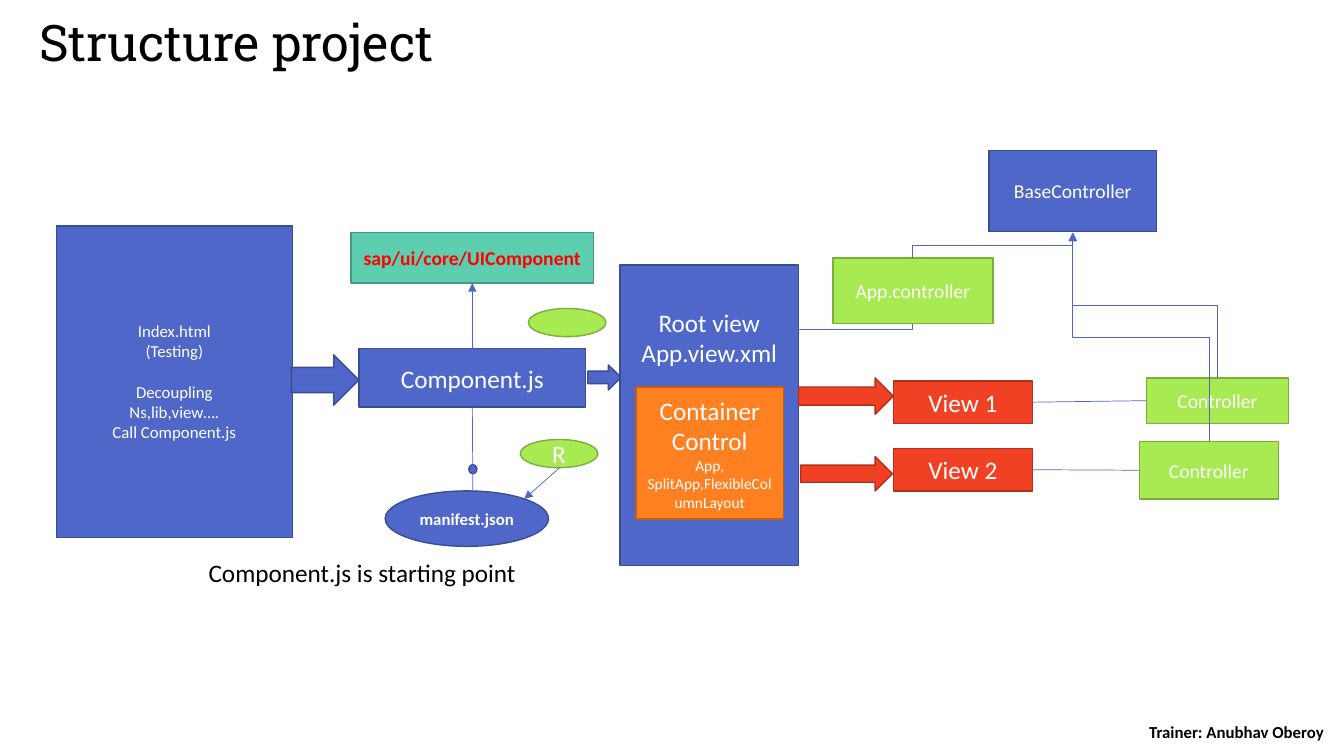
import dataclasses
import typing

import lxml.etree
import pptx
import pptx.dml.color
import pptx.enum.shapes
import pptx.enum.text
import pptx.oxml.ns
import pptx.shapes.autoshape
import pptx.shapes.connector
import pptx.slide
import pptx.text.text
import pptx.util

Inches = pptx.util.Inches
Pt = pptx.util.Pt
Preset = pptx.enum.shapes.MSO_SHAPE
Route = pptx.enum.shapes.MSO_CONNECTOR
Align = pptx.enum.text.PP_ALIGN
Anchor = pptx.enum.text.MSO_ANCHOR
qn = pptx.oxml.ns.qn


class Paint(typing.NamedTuple):
    fill: str
    edge: str


@dataclasses.dataclass(frozen=True)
class Theme:
    blue: Paint = Paint("4E67C8", "3A4C94")
    teal: Paint = Paint("5DCEAF", "459881")
    orange: Paint = Paint("FF8021", "BD5F18")
    red: Paint = Paint("F14124", "B2301B")
    green: Paint = Paint("A7EA52", "7CAD3D")
    white: str = "FFFFFF"
    black: str = "000000"
    alert: str = "FF0000"
    body_font: str = "Calibri"
    title_font: str = "Roboto Slab"
    title: float = 36
    large: float = 18
    medium: float = 14
    small: float = 12
    tiny: float = 11
    edge_width: float = 1
    link_width: float = 0.5


THEME = Theme()


class Box(typing.NamedTuple):
    left: float
    top: float
    width: float
    height: float


class Point(typing.NamedTuple):
    x: float
    y: float


@dataclasses.dataclass(frozen=True)
class Line:
    text: str
    size: float = THEME.large
    color: str = THEME.white
    bold: bool = False
    space_before: float = 0


@dataclasses.dataclass(frozen=True)
class Part:
    key: str
    box: Box
    paint: Paint = THEME.blue
    preset: Preset = Preset.RECTANGLE
    lines: tuple[Line, ...] = ()
    top_inset: float | None = None


@dataclasses.dataclass(frozen=True)
class Link:
    start: Point
    end: Point
    arrow: bool = False
    start_site: tuple[str, int] | None = None
    end_site: tuple[str, int] | None = None


@dataclasses.dataclass(frozen=True)
class Elbow:
    start: Point
    end: Point
    preset: str = "bentConnector3"
    arrow: bool = True


PARTS = (
    Part("index", Box(0.56, 2.24, 2.34, 3.09), lines=(
        Line("Index.html", THEME.small),
        Line("(Testing)", THEME.small),
        Line("Decoupling", THEME.small, space_before=14.6),
        Line("Ns,lib,view….", THEME.small),
        Line("Call Component.js", THEME.small))),
    Part("component", Box(3.56, 3.46, 2.25, 0.58), lines=(Line("Component.js"),)),
    Part("index to component", Box(2.89, 3.52, 0.67, 0.5), preset=Preset.RIGHT_ARROW),
    Part("ui component", Box(3.48, 2.31, 2.41, 0.5), THEME.teal,
         lines=(Line("sap/ui/core/UIComponent", THEME.medium, THEME.alert, True),)),
    Part("manifest", Box(3.82, 4.87, 1.62, 0.55), preset=Preset.OVAL,
         lines=(Line("manifest.json", THEME.small, bold=True),)),
    Part("manifest joint", Box(4.65, 4.61, 0.08, 0.09), preset=Preset.OVAL),
    Part("component to root", Box(5.83, 3.62, 0.33, 0.25), preset=Preset.RIGHT_ARROW),
    Part("root view", Box(6.15, 2.63, 1.77, 2.98), top_inset=0.42,
         lines=(Line("Root view"), Line("App.view.xml"))),
    Part("container", Box(6.31, 3.84, 1.46, 1.31), THEME.orange, lines=(
        Line("Container Control"),
        Line("App, SplitApp,FlexibleColumnLayout", THEME.tiny))),
    Part("root to view 1", Box(7.92, 3.75, 0.94, 0.36), THEME.red, Preset.RIGHT_ARROW),
    Part("view 1", Box(8.86, 3.78, 1.38, 0.42), THEME.red, lines=(Line("View 1"),)),
    Part("view 2", Box(8.86, 4.45, 1.38, 0.42), THEME.red, lines=(Line("View 2"),)),
    Part("root to view 2", Box(7.94, 4.53, 0.91, 0.34), THEME.red, Preset.RIGHT_ARROW),
    Part("controller 1", Box(11.37, 3.75, 1.41, 0.45), THEME.green,
         lines=(Line("Controller", THEME.medium),)),
    Part("controller 2", Box(11.3, 4.38, 1.38, 0.57), THEME.green,
         lines=(Line("Controller", THEME.medium),)),
    Part("base controller", Box(9.81, 1.49, 1.66, 0.81),
         lines=(Line("BaseController", THEME.medium),)),
    Part("app controller", Box(8.26, 2.56, 1.59, 0.65), THEME.green,
         lines=(Line("App.controller", THEME.medium),)),
    Part("component note", Box(5.24, 3.06, 0.77, 0.28), THEME.green, Preset.OVAL),
    Part("manifest note", Box(5.16, 4.36, 0.77, 0.28), THEME.green, Preset.OVAL,
         (Line("R"),)),
)

BASE = Point(10.64, 2.31)
LINKS = (
    Link(Point(4.69, 3.46), Point(4.69, 2.81), True, ("component", 0), ("ui component", 2)),
    Link(Point(4.69, 4.04), Point(4.69, 4.87), start_site=("component", 2)),
    Link(Point(10.24, 3.99), Point(11.37, 3.97),
         start_site=("view 1", 3), end_site=("controller 1", 1)),
    Link(Point(10.24, 4.66), Point(11.3, 4.66),
         start_site=("view 2", 3), end_site=("controller 2", 1)),
    Link(Point(5.55, 4.64), Point(5.2, 4.95), True),
)
ELBOWS = (
    Elbow(Point(12.07, 3.75), BASE),
    Elbow(Point(11.99, 4.38), BASE),
    Elbow(Point(9.05, 2.56), BASE),
    Elbow(Point(9.05, 3.21), Point(7.87, 3.27), "bentConnector2", False),
)


def rgb(value: str) -> pptx.dml.color.RGBColor:
    return pptx.dml.color.RGBColor.from_string(value)


def write(paragraph: pptx.text.text._Paragraph, text: str, *, size: float, color: str,
          bold: bool = False, font: str = THEME.body_font, align: Align = Align.CENTER,
          space_before: float = 0, line_spacing: float | None = None) -> None:
    paragraph.alignment = align
    paragraph.line_spacing = line_spacing
    if space_before:
        paragraph.space_before = Pt(space_before)
    run = paragraph.add_run()
    run.text = text
    run.font.size, run.font.bold, run.font.name = Pt(size), bold, font
    run.font.color.rgb = rgb(color)


def draw_part(slide: pptx.slide.Slide, part: Part) -> pptx.shapes.autoshape.Shape:
    shape = slide.shapes.add_shape(part.preset, *map(Inches, part.box))
    shape.shadow.inherit = False
    shape.fill.solid()
    shape.fill.fore_color.rgb = rgb(part.paint.fill)
    shape.line.color.rgb = rgb(part.paint.edge)
    shape.line.width = Pt(THEME.edge_width)
    frame = shape.text_frame
    frame.word_wrap = True
    frame.vertical_anchor = Anchor.MIDDLE
    if part.top_inset is not None:
        frame.vertical_anchor = Anchor.TOP
        frame.margin_top = Inches(part.top_inset)
    for index, line in enumerate(part.lines):
        paragraph = frame.add_paragraph() if index else frame.paragraphs[0]
        write(paragraph, **dataclasses.asdict(line))
    return shape


def draw_label(slide: pptx.slide.Slide, box: Box, text: str, anchor: Anchor,
               **style: typing.Any) -> None:
    frame = slide.shapes.add_textbox(*map(Inches, box)).text_frame
    frame.word_wrap = True
    frame.vertical_anchor = anchor
    write(frame.paragraphs[0], text, color=THEME.black, **style)


def draw_connector(slide: pptx.slide.Slide, route: Route, start: Point, end: Point,
                   arrow: bool) -> pptx.shapes.connector.Connector:
    connector = slide.shapes.add_connector(route, *map(Inches, (*start, *end)))
    connector.line.color.rgb = rgb(THEME.blue.fill)
    connector.line.width = Pt(THEME.link_width)
    properties = connector._element.spPr
    if arrow:
        lxml.etree.SubElement(properties.find(qn("a:ln")), qn("a:tailEnd"), type="triangle")
    lxml.etree.SubElement(properties, qn("a:effectLst"))
    return connector


def draw_link(slide: pptx.slide.Slide, link: Link,
              shapes: dict[str, pptx.shapes.autoshape.Shape]) -> None:
    connector = draw_connector(slide, Route.STRAIGHT, link.start, link.end, link.arrow)
    for site, join in ((link.start_site, connector.begin_connect),
                       (link.end_site, connector.end_connect)):
        if site:
            join(shapes[site[0]], site[1])


def draw_elbow(slide: pptx.slide.Slide, elbow: Elbow) -> None:
    start, end = elbow.start, elbow.end
    connector = draw_connector(slide, Route.ELBOW, start, end, elbow.arrow)
    across, down = abs(end.x - start.x), abs(end.y - start.y)
    connector.left = Inches((start.x + end.x - down) / 2)
    connector.top = Inches((start.y + end.y - across) / 2)
    connector.width, connector.height = Inches(down), Inches(across)
    rising, leftward = end.y < start.y, end.x < start.x
    properties = connector._element.spPr
    frame = properties.find(qn("a:xfrm"))
    frame.set("rot", str((270 if rising else 90) * 60000))
    frame.set("flipH", "0")
    frame.set("flipV", "1" if rising == leftward else "0")
    properties.find(qn("a:prstGeom")).set("prst", elbow.preset)


def main() -> None:
    deck = pptx.Presentation()
    deck.slide_width, deck.slide_height = Inches(13.33), Inches(7.5)
    slide = deck.slides.add_slide(deck.slide_layouts[6])
    draw_label(slide, Box(0.29, 0.16, 9.26, 0.58), "Structure project", Anchor.MIDDLE,
               size=THEME.title, font=THEME.title_font, align=Align.LEFT, line_spacing=0.9)
    shapes = {part.key: draw_part(slide, part) for part in PARTS}
    for link in LINKS:
        draw_link(slide, link, shapes)
    for elbow in ELBOWS:
        draw_elbow(slide, elbow)
    draw_label(slide, Box(1.97, 5.48, 3.42, 0.4), "Component.js is starting point",
               Anchor.TOP, size=THEME.large, align=Align.LEFT)
    draw_label(slide, Box(11.05, 7.13, 2.43, 0.25), "Trainer: Anubhav Oberoy",
               Anchor.MIDDLE, size=THEME.small, bold=True)
    deck.save("out.pptx")


if __name__ == "__main__":
    main()
